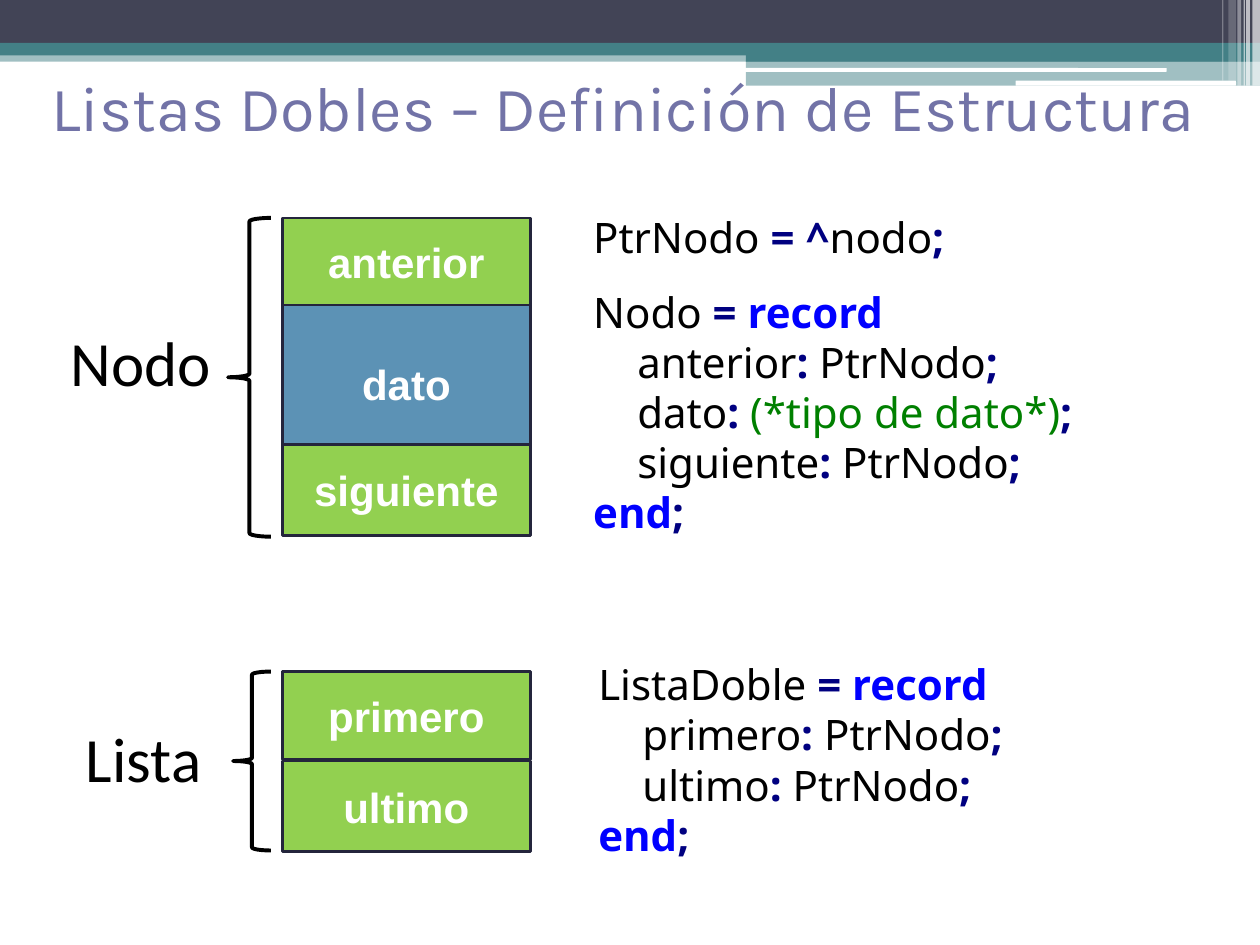
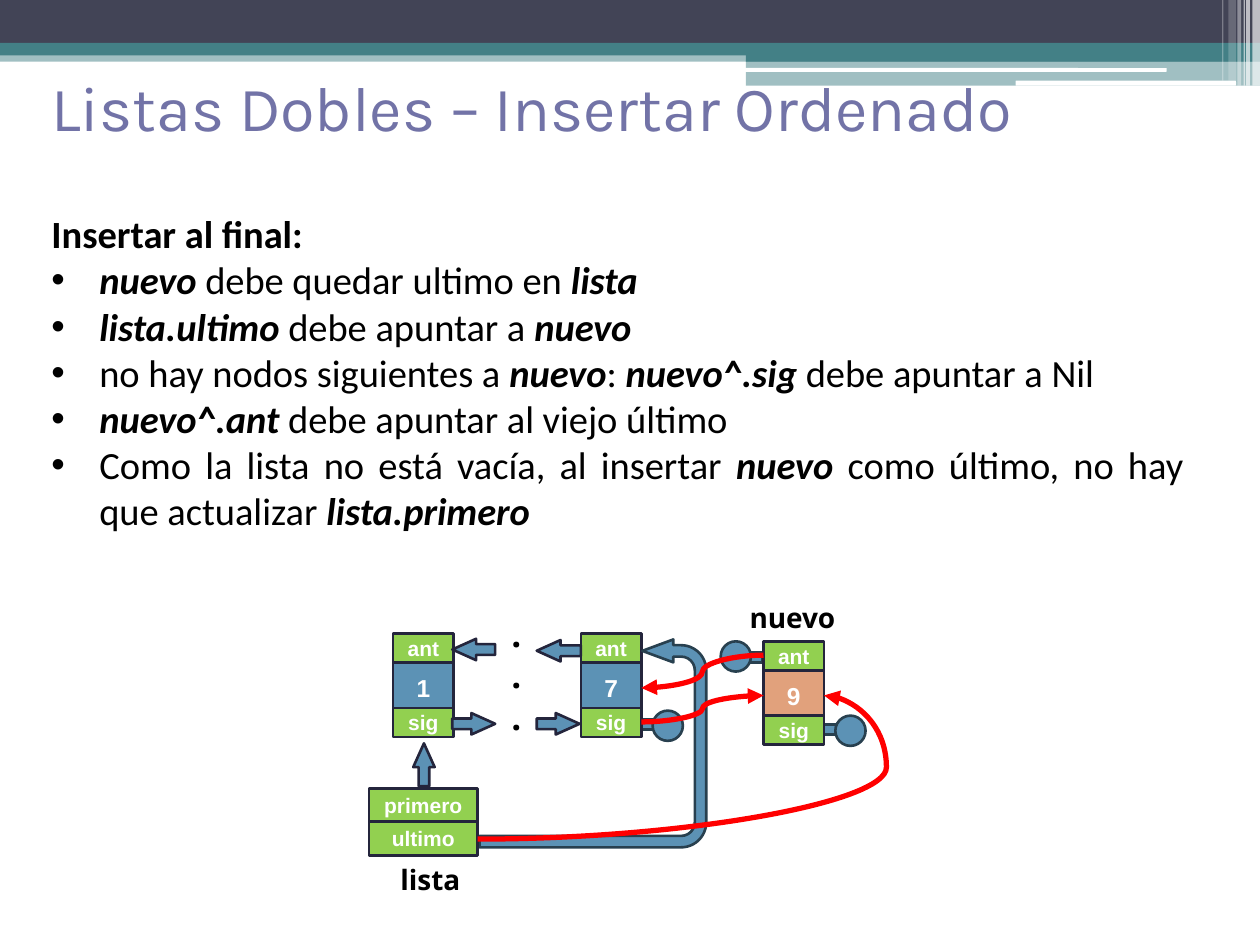
from dataclasses import dataclass
from lxml.etree import SubElement
from pptx import Presentation
from pptx.dml.color import RGBColor as Rgb
from pptx.enum.shapes import MSO_CONNECTOR as Link, MSO_SHAPE as Form
from pptx.enum.text import MSO_ANCHOR as Anchor, PP_ALIGN as Align
from pptx.oxml.ns import qn
from pptx.util import Pt

SCALE = 9144


@dataclass(frozen=True)
class Theme:
    navy: str = "424456"
    teal: str = "438086"
    white: str = "FFFFFF"
    black: str = "000000"
    title: str = "7273A7"
    green: str = "92D050"
    blue: str = "5C92B5"
    orange: str = "E1A17C"
    edge: str = "24253C"
    pipe_edge: str = "28404F"
    red: str = "FF0000"
    sign: str = "000080"
    keyword: str = "0000FF"
    comment: str = "008000"
    heading_font: str = "Karla"
    body_font: str = "Calibri"
    code_font: str = "Noto Sans"
    cell_font: str = "Arial"
    heading_size: int = 36
    body_size: int = 22
    code_size: int = 24
    dots_size: int = 20
    caption_size: int = 16
    value_size: int = 14
    field_size: int = 12
    code_leading: float = 1.195


T = Theme()

BANDS = [
    (Form.RECTANGLE, (0, 40, 1000, 9), T.teal, 50),
    (Form.RECTANGLE, (0, 0, 1000, 34), T.navy, 100),
    (Form.RECTANGLE, (0, 34, 1000, 10), T.teal, 100),
    (Form.RECTANGLE, (592, 39, 408, 10), T.teal, 100),
    (Form.RECTANGLE, (592, 48, 408, 20), T.teal, 50),
    (Form.ROUNDED_RECTANGLE, (591, 54, 335, 3), T.white, 100),
    (Form.ROUNDED_RECTANGLE, (806, 64, 175, 4), T.white, 100),
]
STRIPES = [(994, 6, 68, 65), (989, 3, 68, 65), (987, 1, 68, 60),
           (982, 3, 68, 40), (975, 6, 64, 20), (970, 1, 64, 30)]
BANDS += [(Form.RECTANGLE, (left, 0, width, height), T.white, alpha)
          for left, width, height, alpha in STRIPES]

STRUCTURE_TITLE = "Listas Dobles – Definición de Estructura"
INSERT_TITLE = "Listas Dobles – Insertar Ordenado"

NAME, SIGN, KEY, NOTE = (
    {"color": T.black}, {"color": T.sign, "bold": True},
    {"color": T.keyword, "bold": True}, {"color": T.comment})


def field_line(name, kind="PtrNodo", style=NAME):
    spans = [(name, NAME), (": ", SIGN), (kind, style), (";", SIGN)]
    return {"spans": spans, "margin": 35}


def record_lines(name, *fields):
    head = {"spans": [(name, NAME), (" = ", SIGN), ("record", KEY)]}
    return [head, *fields, {"spans": [("end", KEY), (";", SIGN)]}]


NODE_CODE = [
    {"spans": [("PtrNodo", NAME), (" = ^", SIGN), ("nodo", NAME), (";", SIGN)],
     "format": {"space_after": Pt(14)}},
    *record_lines("Nodo", field_line("anterior"),
                  field_line("dato", "(*tipo de dato*)", NOTE), field_line("siguiente")),
]
LIST_CODE = record_lines("ListaDoble", field_line("primero"), field_line("ultimo"))

NODE_CELLS = [("anterior", 173, 70, T.green), ("dato", 242, 125, T.blue),
              ("siguiente", 353, 72, T.green)]
LIST_CELLS = [("primero", 533, 70, T.green), ("ultimo", 604, 72, T.green)]
BRACES = [(181, 173, 34, 253), (185, 533, 30, 142)]
GROUP_NAMES = [("Nodo", (39, 252, 146, 81)), ("Lista", (43, 566, 142, 71))]

STEPS_HEADING = "Insertar al final:"
STEPS = [
    "*nuevo* debe quedar ultimo en *lista*",
    "*lista.ultimo *debe apuntar a *nuevo*",
    "no hay nodos siguientes a *nuevo*: *nuevo^.sig *debe apuntar a Nil",
    "*nuevo^.ant *debe apuntar al viejo último",
    "Como la lista no está vacía, al insertar *nuevo* como último, "
    "no hay que actualizar *lista.primero*",
]
NODES = [("1", 312, 503, T.blue), ("7", 461, 503, T.blue), ("9", 606, 509, T.orange)]
LIST_FIELDS = [("primero", 626, 26), ("ultimo", 652, 27)]
ARROWS = [
    (Form.LEFT_ARROW, (359, 507, 34, 17)), (Form.RIGHT_ARROW, (359, 566, 34, 17)),
    (Form.LEFT_ARROW, (426, 508, 35, 17)), (Form.RIGHT_ARROW, (426, 566, 34, 17)),
    (Form.UP_ARROW, (328, 590, 17, 34)),
]
NIL_ENDS = [((509, 571), (518, 564)), ((578, 518), (572, 509)), ((653, 575), (663, 568))]
CAPTIONS = [("lista", (308, 680, 68, 37)), ("nuevo", (585, 472, 89, 37))]
NEW_LINKS = [((606, 520), (509, 546), 0.5), ((509, 573), (606, 552), 0.5),
             ((379, 666), (654, 552), 1.18)]


def apply(target, values):
    for name, value in values.items():
        setattr(target, name, value)


def to_emu(box):
    return [length * SCALE for length in box]


def write(frame, paras, font, size, align=Align.LEFT, leading=None):
    for index, content in enumerate(paras):
        para = frame.paragraphs[0] if index == 0 else frame.add_paragraph()
        apply(para, {"alignment": align, **content.get("format", {})})
        if leading:
            para.line_spacing = Pt(round(size * leading, 1))
        properties = para._p.get_or_add_pPr()
        if "margin" in content:
            properties.set("marL", str(content["margin"] * SCALE))
        if "bullet" in content:
            properties.set("indent", str(-content["margin"] * SCALE))
            SubElement(properties, qn("a:buFont"), typeface=T.cell_font)
            SubElement(properties, qn("a:buChar"), char=content["bullet"])
        for text, style in content["spans"]:
            span = para.add_run()
            span.text = text
            look = dict(style)
            span.font.color.rgb = Rgb.from_string(look.pop("color", T.black))
            apply(span.font, {"name": font, "size": Pt(size), **look})


def add_text(page, box, paras, font, size, anchor=Anchor.TOP, wrap=True, **layout):
    frame = page.shapes.add_textbox(*to_emu(box)).text_frame
    apply(frame, {"word_wrap": wrap, "vertical_anchor": anchor})
    write(frame, paras, font, size, **layout)


def add_form(page, form, box, fill=None, edge=None, weight=1.5, adjust=(), alpha=100):
    shape = page.shapes.add_shape(form, *to_emu(box))
    shape.shadow.inherit = False
    for index, value in enumerate(adjust):
        shape.adjustments[index] = value
    if fill:
        shape.fill.solid()
        shape.fill.fore_color.rgb = Rgb.from_string(fill)
        if alpha < 100:
            color = shape.element.spPr.find(".//" + qn("a:srgbClr"))
            SubElement(color, qn("a:alpha"), val=str(alpha * 1000))
    else:
        shape.fill.background()
    if edge:
        shape.line.color.rgb = Rgb.from_string(edge)
        shape.line.width = Pt(weight)
    else:
        shape.line.fill.background()
    return shape


def add_cell(page, box, label, fill, size):
    frame = add_form(page, Form.RECTANGLE, box, fill, T.edge).text_frame
    apply(frame, {"margin_left": 0, "margin_right": 0, "margin_top": 0,
                  "margin_bottom": 0, "vertical_anchor": Anchor.MIDDLE})
    spans = [(label, {"color": T.white, "bold": True})]
    write(frame, [{"spans": spans}], T.cell_font, size, Align.CENTER)


def add_node(page, value, left, top, fill):
    add_cell(page, (left, top, 48, 23), "ant", T.green, T.field_size)
    add_cell(page, (left, top + 23, 48, 40), value, fill, T.value_size)
    add_cell(page, (left, top + 59, 48, 23), "sig", T.green, T.field_size)


def add_new_link(page, start, end, bend):
    link = page.shapes.add_connector(Link.CURVE, *to_emu(start + end))
    link.line.color.rgb = Rgb.from_string(T.red)
    link.line.width = Pt(3)
    SubElement(link.line._get_or_add_ln(), qn("a:tailEnd"), type="triangle")
    properties = link._element.spPr
    SubElement(properties, qn("a:effectLst"))
    guides = properties.find(qn("a:prstGeom")).find(qn("a:avLst"))
    SubElement(guides, qn("a:gd"), name="adj1", fmla=f"val {round(bend * 100000)}")


def add_bands(layout, page):
    for holder in list(layout.placeholders):
        layout.shapes.element.remove(holder.element)
    bands = [add_form(page, form, box, fill, alpha=alpha) for form, box, fill, alpha in BANDS]
    for band in bands:
        layout.shapes.element.append(band.element)


def add_title(page, title):
    spans = [(title, {"color": T.title})]
    add_text(page, (31, 39, 933, 91), [{"spans": spans}], T.heading_font,
             T.heading_size, Anchor.MIDDLE)


def build_structure(page):
    add_title(page, STRUCTURE_TITLE)
    for box, lines in [((461, 163, 417, 279), NODE_CODE), ((465, 518, 500, 172), LIST_CODE)]:
        add_text(page, box, lines, T.code_font, T.code_size, leading=T.code_leading)
    for label, top, height, fill in NODE_CELLS + LIST_CELLS:
        add_cell(page, (224, top, 197, height), label, fill, T.code_size)
    for box in BRACES:
        add_form(page, Form.LEFT_BRACE, box, edge=T.black, weight=2.25)
    for name, box in GROUP_NAMES:
        add_text(page, box, [{"spans": [(name, NAME)]}], T.body_font,
                 T.heading_size, align=Align.CENTER)


def build_insert(page):
    add_title(page, INSERT_TITLE)
    paras = [{"spans": [(STEPS_HEADING, {"bold": True})]}]
    for step in STEPS:
        spans = [(text, {"bold": index % 2 == 1, "italic": index % 2 == 1})
                 for index, text in enumerate(step.split("*")) if text]
        paras.append({"spans": spans, "margin": 38, "bullet": "•"})
    add_text(page, (31, 162, 918, 306), paras, T.body_font, T.body_size, align=Align.JUSTIFY)

    for stem, knob in NIL_ENDS:
        add_form(page, Form.RECTANGLE, stem + (27, 8), T.blue, T.pipe_edge)
        add_form(page, Form.FLOWCHART_CONNECTOR, knob + (24, 24), T.blue, T.pipe_edge)
    for node in NODES:
        add_node(page, *node)
    for form, box in ARROWS:
        add_form(page, form, box, T.blue, T.edge, adjust=(0.5, 1.11))
    old_last = add_form(page, Form.U_TURN_ARROW, (388, 500, 165, 180), T.blue,
                        T.pipe_edge, adjust=(0.055, 0.055, 0.149, 0.121, 0.282))
    old_last.rotation = 270
    old_last.element.spPr.find(qn("a:xfrm")).set("flipV", "1")
    for label, top, height in LIST_FIELDS:
        add_cell(page, (293, top, 86, height), label, T.green, T.field_size)

    strong = {"bold": True}
    add_text(page, (396, 481, 29, 145), [{"spans": [(".", strong)]}] * 3, T.code_font,
             T.dots_size, wrap=False, leading=T.code_leading)
    for caption, box in CAPTIONS:
        add_text(page, box, [{"spans": [(caption, strong)]}], T.code_font,
                 T.caption_size, wrap=False, leading=T.code_leading)
    for link in NEW_LINKS:
        add_new_link(page, *link)


def main():
    deck = Presentation()
    deck.slide_width, deck.slide_height = to_emu((1000, 750))
    blank = deck.slide_layouts[6]
    pages = [deck.slides.add_slide(blank) for _ in range(2)]
    add_bands(blank, pages[0])
    build_structure(pages[0])
    build_insert(pages[1])
    deck.save("out.pptx")


if __name__ == "__main__":
    main()
